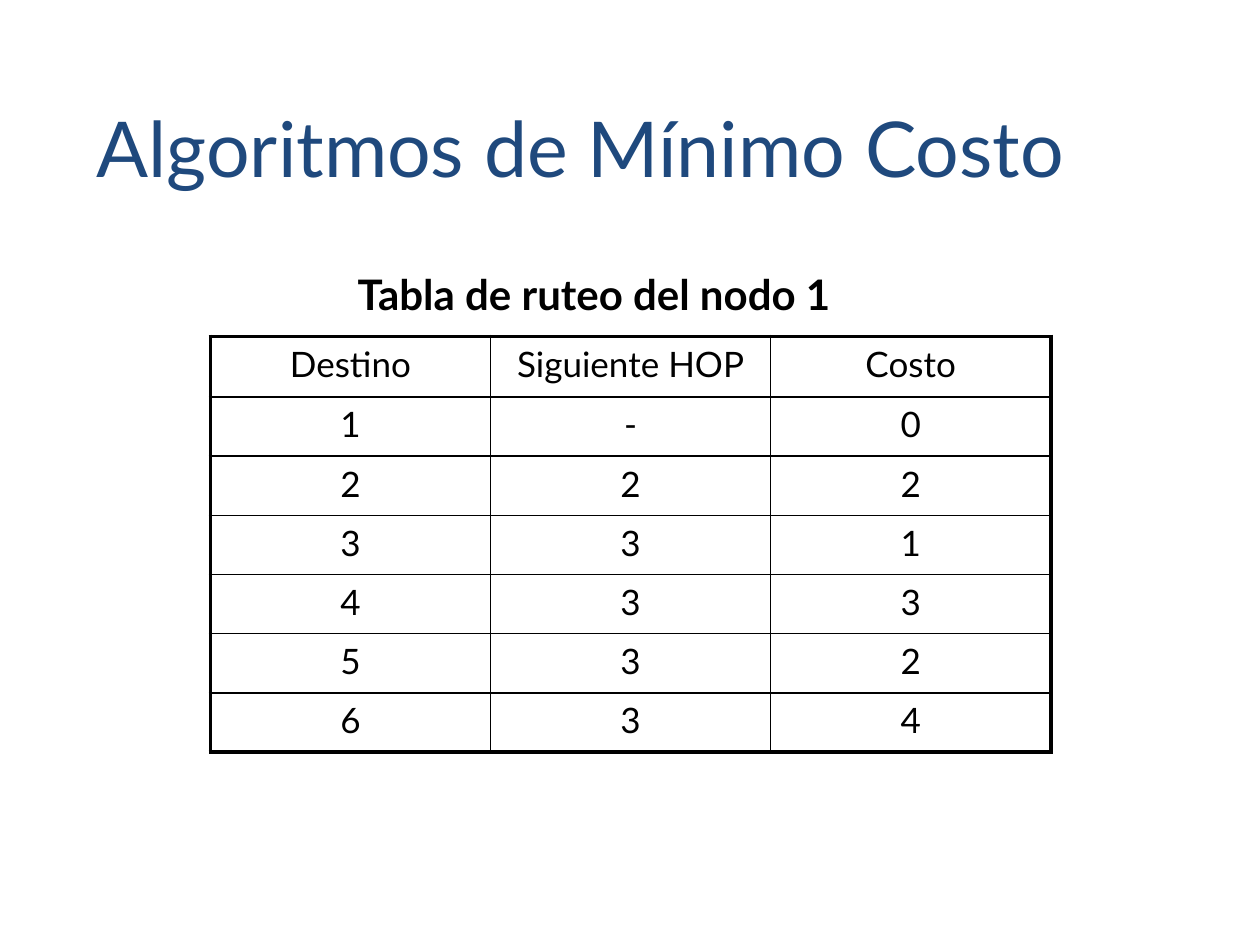
from lxml import etree
from pptx import Presentation
from pptx.dml.color import RGBColor
from pptx.enum import text as t
from pptx.oxml.ns import qn
from pptx.util import Inches, Pt

BLACK = RGBColor(0x00, 0x00, 0x00)
BLUE = RGBColor(0x1F, 0x49, 0x7D)
FONT = "Lato"
THIN, THICK = Pt(1), Pt(2.25)
ROWS = [
    ("Destino", "Siguiente HOP", "Costo"),
    ("1", "-", "0"),
    ("2", "2", "2"),
    ("3", "3", "1"),
    ("4", "3", "3"),
    ("5", "3", "2"),
    ("6", "3", "4"),
]


def add_run(para, words, size, color, bold=False):
    run = para.add_run()
    run.text = words
    font = run.font
    font.name, font.size, font.bold = FONT, Pt(size), bold
    font.color.rgb = color


def add_box(slide, left, top, width, height, anchor):
    box = slide.shapes.add_textbox(
        Inches(left), Inches(top), Inches(width), Inches(height))
    frame = box.text_frame
    frame.word_wrap = True
    frame.vertical_anchor = anchor
    return frame.paragraphs[0]


def add_title(slide):
    para = add_box(slide, 0.67, 0.33, 8.5, 1.25, t.MSO_ANCHOR.BOTTOM)
    add_run(para, "Algoritmos de Mínimo Costo", 44, BLUE)


def add_label(slide):
    para = add_box(slide, 0.25, 2.08, 8.5, 4.5, t.MSO_ANCHOR.TOP)
    para.alignment = t.PP_ALIGN.CENTER
    para.level = 2
    props = para._p.get_or_add_pPr()
    props.set("marL", str(Inches(0.42)))
    props.set("indent", str(Inches(0.01)))
    add_run(para, "Tabla de ruteo del nodo 1", 24, BLACK, True)


def set_edge(cell, side, width):
    props = cell._tc.get_or_add_tcPr()
    line = etree.SubElement(props, qn(f"a:ln{side}"), w=str(width))
    fill = etree.SubElement(line, qn("a:solidFill"))
    etree.SubElement(fill, qn("a:srgbClr"), val=str(BLACK))


def fill_cell(cell, words, outer):
    for side, edge in outer.items():
        set_edge(cell, side, THICK if edge else THIN)
    cell.fill.background()
    para = cell.text_frame.paragraphs[0]
    para.alignment = t.PP_ALIGN.CENTER
    add_run(para, words, 20, BLACK)


def add_routes(slide):
    count, wide = len(ROWS), len(ROWS[0])
    table = slide.shapes.add_table(
        count, wide, Inches(1.67), Inches(2.67),
        Inches(6.67), Inches(3.31)).table
    table.first_row = table.horz_banding = False
    for r, row in enumerate(ROWS):
        table.rows[r].height = Inches(0.47 if r else 0.48)
        for c, words in enumerate(row):
            outer = {"L": c == 0, "R": c == wide - 1,
                     "T": r == 0, "B": r == count - 1}
            fill_cell(table.cell(r, c), words, outer)


def main():
    deck = Presentation()
    deck.slide_width, deck.slide_height = Inches(10), Inches(7.5)
    slide = deck.slides.add_slide(deck.slide_layouts[6])
    add_title(slide)
    add_label(slide)
    add_routes(slide)
    deck.save("out.pptx")


if __name__ == "__main__":
    main()
